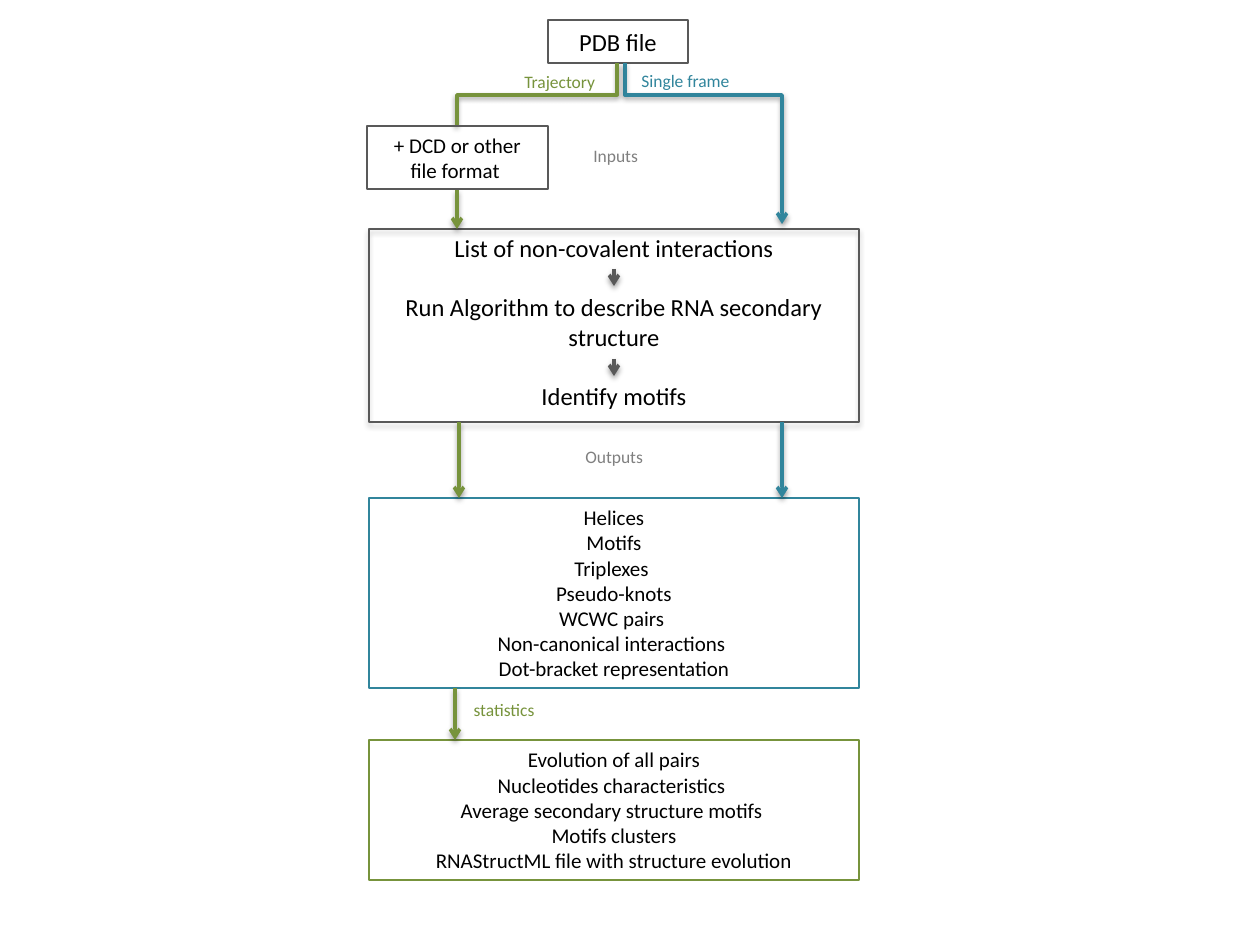
from dataclasses import dataclass
from pptx import Presentation
from pptx.dml.color import RGBColor
from pptx.enum.shapes import MSO_CONNECTOR, MSO_SHAPE
from pptx.enum.text import MSO_ANCHOR, MSO_AUTO_SIZE, PP_ALIGN
from pptx.oxml.ns import qn
from pptx.oxml.xmlchemy import OxmlElement
from pptx.util import Emu, Inches, Pt

RECTANGLE = MSO_SHAPE.RECTANGLE
STRAIGHT, ELBOW = MSO_CONNECTOR.STRAIGHT, MSO_CONNECTOR.ELBOW
LEFT, CENTER = PP_ALIGN.LEFT, PP_ALIGN.CENTER
GROW = MSO_AUTO_SIZE.SHAPE_TO_FIT_TEXT
TOP, MIDDLE = MSO_ANCHOR.TOP, MSO_ANCHOR.MIDDLE
SCALE = Inches(1) / 126


@dataclass(frozen=True)
class Theme:
    """Fonts, sizes and colours of the flowchart."""
    font: str = "Calibri"
    step: int = 14
    item: int = 12
    label: int = 10
    border: float = 0.75
    arrow: float = 2
    ink: str = "000000"
    gray: str = "595959"
    muted: str = "808080"
    blue: str = "31859C"
    green: str = "77933C"


THEME = Theme()


def px(*lengths):
    """Turn pixel lengths into EMU."""
    return [Emu(round(length * SCALE)) for length in lengths]


def append(parent, tag, **attributes):
    """Append an XML child with attributes and return it."""
    child = OxmlElement(tag)
    for name, value in attributes.items():
        child.set(name, str(value))
    parent.append(child)
    return child


def add_shadow(properties, opacity, distance):
    """Give shape properties a soft shadow that falls downwards."""
    effects = properties.find(qn("a:effectLst"))
    if effects is None:
        effects = append(properties, "a:effectLst")
    shadow = append(effects, "a:outerShdw", blurRad=Pt(3.1), dist=Pt(distance),
                    dir=90 * 60000, rotWithShape=0)
    color = append(shadow, "a:srgbClr", val=THEME.ink)
    append(color, "a:alpha", val=opacity * 1000)


def write(shape, lines, size, color=THEME.ink, align=CENTER, wrap=True, anchor=TOP):
    """Fill a shape with one paragraph for each line."""
    frame = shape.text_frame
    formats = {"word_wrap": wrap, "auto_size": GROW, "vertical_anchor": anchor}
    for name, value in formats.items():
        setattr(frame, name, value)
    for index, line in enumerate(lines):
        para = frame.paragraphs[0] if index == 0 else frame.add_paragraph()
        para.alignment = align
        span = para.add_run()
        span.text = line
        for name, value in {"name": THEME.font, "size": Pt(size)}.items():
            setattr(span.font, name, value)
        span.font.color.rgb = RGBColor.from_string(color)


def add_box(page, box, color, lines=(), size=THEME.item):
    """Draw an outlined box with centred lines."""
    shape = page.shapes.add_shape(RECTANGLE, *px(*box))
    shape.shadow.inherit = False
    shape.fill.background()
    shape.line.color.rgb = RGBColor.from_string(color)
    shape.line.width = Pt(THEME.border)
    if lines:
        write(shape, lines, size, anchor=MIDDLE)
    return shape


def add_text(page, box, text, size, **formats):
    """Place a line of plain text."""
    write(page.shapes.add_textbox(*px(*box)), [text], size, **formats)


def add_label(page, left, top, width, text, color, align=LEFT, wrap=False):
    """Place a small caption."""
    add_text(page, (left, top, width, 34), text, THEME.label,
             color=color, align=align, wrap=wrap)


def style_line(line, color, head=True):
    """Give a connector its colour, weight, shadow and arrowhead."""
    line.line.color.rgb = RGBColor.from_string(color)
    line.line.width = Pt(THEME.arrow)
    if head:
        append(line.line._get_or_add_ln(), "a:tailEnd", type="arrow")
    add_shadow(line._element.spPr, 38, 1.6)


def add_arrow(page, x, top, bottom, color):
    """Draw a straight arrow downwards."""
    line = page.shapes.add_connector(STRAIGHT, *px(x, top, x, bottom))
    style_line(line, color)


def add_elbow(page, start, end, bend, color, head=True):
    """Draw a line that goes down, sideways and down again."""
    (x1, y1), (x2, y2) = start, end
    drop, spread = y2 - y1, abs(x2 - x1)
    left, top = (x1 + x2 - drop) / 2, (y1 + y2 - spread) / 2
    line = page.shapes.add_connector(
        ELBOW, *px(left, top, left + drop, top + spread))
    rightward = x2 > x1
    properties = line._element.spPr
    frame = properties.find(qn("a:xfrm"))
    frame.set("rot", str((270 if rightward else 90) * 60000))
    if rightward:
        frame.set("flipH", "1")
    guides = properties.find(qn("a:prstGeom")).get_or_add_avLst()
    append(guides, "a:gd", name="adj1", fmla=f"val {round(bend / drop * 100000)}")
    style_line(line, color, head)


def draw_inputs(page, box):
    """Draw the source file and its two ways into the algorithm."""
    left, top, width, height = box
    bottom = top + height
    add_box(page, (left + 179, top, 140, 43), THEME.gray, ["PDB file"], THEME.step)
    add_elbow(page, (left + 256, top + 43), (left + 413, bottom - 5), 32, THEME.blue)
    add_elbow(page, (left + 248, top + 43), (left + 88, top + 106), 32,
              THEME.green, head=False)
    add_arrow(page, left + 88, top + 170, bottom, THEME.green)
    add_label(page, left + 260, top + 44, 120, "Single frame", THEME.blue)
    add_label(page, left + 143, top + 45, 100, "Trajectory", THEME.green)
    add_label(page, left + 212, top + 119, 77, "Inputs", THEME.muted)
    add_box(page, (left - 2, top + 106, 181, 63), THEME.gray,
            ["+ DCD or other", "file format "])


def draw_algorithm(page, box):
    """Draw the three steps of the algorithm."""
    left, top, width, height = box
    steps = [(-2, 43, "List of non-covalent interactions"),
             (57, 72, "Run Algorithm to describe RNA secondary structure"),
             (146, 43, "Identify motifs")]
    for offset, tall, text in steps:
        add_text(page, (left, top + offset, width, tall), text, THEME.step)
    for offset in (40, 130):
        add_arrow(page, left + width / 2, top + offset, top + offset + 17, THEME.gray)
    frame = add_box(page, box, THEME.gray)
    add_shadow(frame._element.spPr, 35, 1.8)


def draw_outputs(page, box, gap):
    """Draw the outputs and the arrows that lead to them."""
    left, top, width, height = box
    add_box(page, box, THEME.blue,
            ["Helices", "Motifs", "Triplexes ", "Pseudo-knots", "WCWC pairs ",
             "Non-canonical interactions ", "Dot-bracket representation"])
    add_label(page, left + 204, top - 58, 89, "Outputs", THEME.muted)
    for offset, color in ((413, THEME.blue), (90, THEME.green)):
        add_arrow(page, left + offset, top - gap, top, color)


def draw_statistics(page, box, gap):
    """Draw the trajectory statistics and the arrow that leads to them."""
    left, top, width, height = box
    add_box(page, box, THEME.green,
            ["Evolution of all pairs", "Nucleotides characteristics ",
             "Average secondary structure motifs ", "Motifs clusters",
             "RNAStructML file with structure evolution"])
    add_label(page, left + 87, top - 47, 96, "statistics", THEME.green, CENTER, True)
    add_arrow(page, left + 86, top - gap, top, THEME.green)


def main():
    """Build and save the flowchart."""
    deck = Presentation()
    deck.slide_width, deck.slide_height = Inches(10), Inches(7.5)
    page = deck.slides.add_slide(deck.slide_layouts[6])
    left, width = 369, 490
    draw_algorithm(page, (left, 229, width, 193))
    draw_inputs(page, (left, 20, width, 209))
    draw_outputs(page, (left, 498, width, 190), gap=76)
    draw_statistics(page, (left, 740, width, 140), gap=52)
    deck.save("out.pptx")


main()
